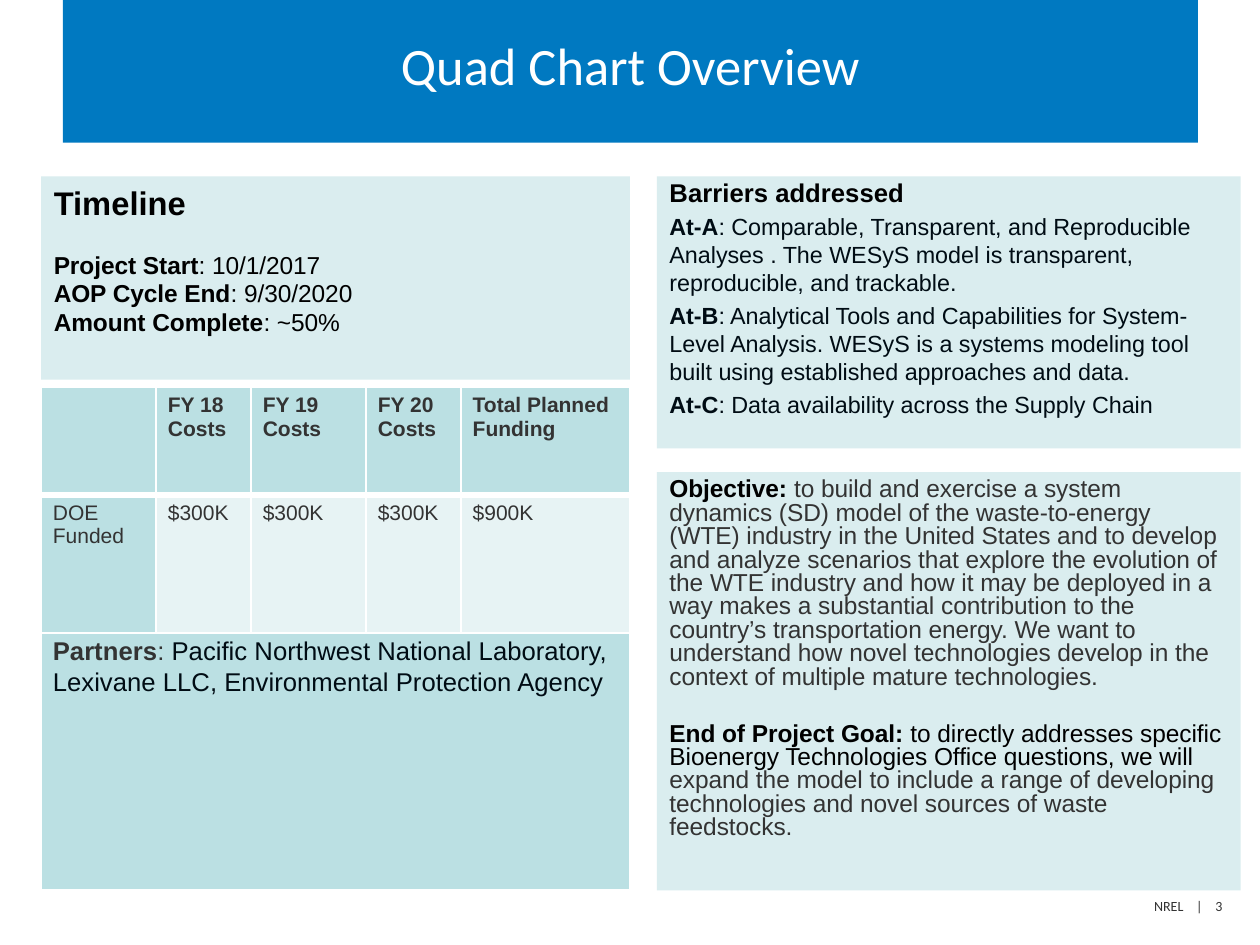
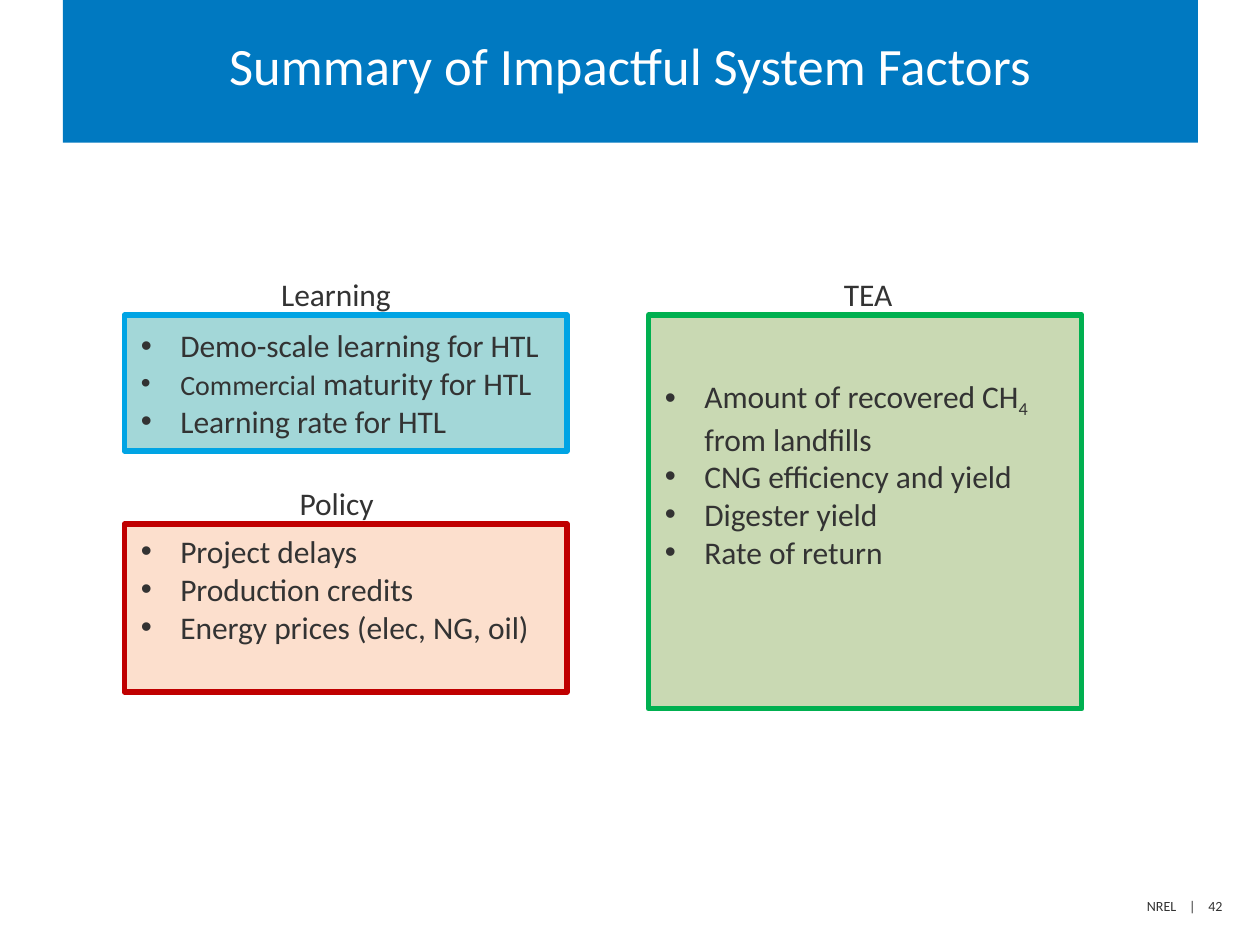
from lxml.etree import SubElement
from pptx import Presentation
from pptx.dml.color import RGBColor
from pptx.enum.shapes import MSO_SHAPE as Shape
from pptx.enum.text import MSO_ANCHOR as Anchor, PP_ALIGN as Align
from pptx.oxml.ns import qn
from pptx.util import Emu, Pt

EMU_PER_PX = 4572
BLUE, PANEL, TEAL, PALE = "0079C1", "DAEDEF", "BBE0E3", "E7F3F4"
BLACK, GREY, NAVY, WHITE = "000000", "333333", "000C14", "FFFFFF"
BODY, HEADING = "Arial", "Calibri"


def px(length):
    return Emu(length * EMU_PER_PX)


def rgb(value):
    return RGBColor.from_string(value)


class SlideKit:
    """Holds the shared style and the slide being built."""

    def __init__(self):
        self.deck = Presentation()
        self.deck.slide_width, self.deck.slide_height = px(1500), px(1125)
        self.page = None

    def new_slide(self, title, number):
        self.page = self.deck.slides.add_slide(self.deck.slide_layouts[6])
        band = self.panel((75, 0, 1351, 170), BLUE)
        band.text_frame.vertical_anchor = Anchor.MIDDLE
        para = self.paragraph(band.text_frame, [(title, {})],
                              size=22.5, color=WHITE, font=HEADING)
        para.alignment = Align.CENTER
        para.line_spacing = Pt(21)
        self.footer(number)

    def footer(self, number):
        box = self.text_box((1101, 1059, 374, 40))
        gap = (" ", {"spacing": 4.1})
        para = self.paragraph(box.text_frame, [("NREL", {}), gap, ("|", {}), gap, (str(number), {})],
                              size=6, color=GREY, font=HEADING)
        para.alignment = Align.RIGHT

    def text_box(self, place, wrap=True):
        box = self.page.shapes.add_textbox(*map(px, place))
        box.text_frame.word_wrap = wrap
        return box

    def label(self, text, place):
        box = self.text_box(place, wrap=False)
        self.paragraph(box.text_frame, [(text, {})], size=13.5, color=GREY, font=HEADING)

    def panel(self, place, fill, line=None, opacity=None):
        box = self.page.shapes.add_shape(Shape.RECTANGLE, *map(px, place))
        box.shadow.inherit = False
        box.fill.solid()
        box.fill.fore_color.rgb = rgb(fill)
        if opacity:
            tint = box.fill._xPr.find(qn("a:solidFill"))[0]
            SubElement(tint, qn("a:alpha")).set("val", str(opacity * 1000))
        if line:
            box.line.color.rgb = rgb(line)
            box.line.width = Pt(2.25)
        else:
            box.line.fill.background()
        box.text_frame.word_wrap = True
        return box

    def quad(self, place):
        frame = self.panel(place, PANEL).text_frame
        frame.margin_left = frame.margin_right = px(15)
        frame.margin_top = frame.margin_bottom = px(8)
        frame.vertical_anchor = Anchor.TOP
        return frame

    def paragraph(self, frame, spans, size, color=BLACK, font=BODY, before=0,
                  spacing=None, bullet=False):
        para = frame.paragraphs[0]
        if para.runs:
            para = frame.add_paragraph()
            para.space_before = Pt(before)
        para.alignment = Align.LEFT
        if spacing:
            para.line_spacing = spacing
        if bullet:
            props = para._p.get_or_add_pPr()
            props.set("marL", str(px(47)))
            props.set("indent", str(px(-47)))
            SubElement(props, qn("a:buFont")).set("typeface", BODY)
            SubElement(props, qn("a:buChar")).set("char", "•")
        for text, style in spans:
            span = para.add_run()
            span.text = text
            span.font.name = font
            span.font.size = Pt(style.get("size", size))
            span.font.bold = style.get("bold", False)
            span.font.color.rgb = rgb(style.get("color", color))
            props = span._r.get_or_add_rPr()
            if "baseline" in style:
                props.set("baseline", str(style["baseline"] * 1000))
            if "spacing" in style:
                props.set("spc", str(round(style["spacing"] * 100)))
        return para

    def bullets(self, place, fill, line, items, bottom=10):
        frame = self.panel(place, fill, line, opacity=36).text_frame
        frame.vertical_anchor = Anchor.MIDDLE
        frame.margin_bottom = px(bottom)
        for spans in items:
            self.paragraph(frame, spans, size=13.5, color=GREY, font=HEADING, bullet=True)

    def table(self, place, widths, heights):
        graphic = self.page.shapes.add_table(len(heights), len(widths), *map(px, place))
        table = graphic.table
        for column, width in zip(table.columns, widths):
            column.width = px(width)
        for row, height in zip(table.rows, heights):
            row.height = px(height)
        return table

    def cell(self, cell, fill, top=1, bottom=1):
        for side, width in zip("LRTB", (1, 1, top, bottom)):
            edge = SubElement(cell._tc.get_or_add_tcPr(), qn(f"a:ln{side}"), w=str(Pt(width)))
            SubElement(SubElement(edge, qn("a:solidFill")), qn("a:srgbClr")).set("val", WHITE)
        cell.fill.solid()
        cell.fill.fore_color.rgb = rgb(fill)
        cell.margin_left = cell.margin_right = px(14)
        cell.margin_top = cell.margin_bottom = px(8)
        return cell.text_frame


def build_funding_table(kit):
    table = kit.table((49, 461, 701, 599), (137, 113, 137, 113, 201), (128, 165, 306))
    rows = [["", "FY 18\nCosts", "FY 19 Costs", "FY 20 Costs", "Total Planned Funding"],
            ["DOE Funded", "$300K", "$300K", "$300K", "$900K"]]
    for r, row in enumerate(rows):
        header = r == 0
        for c, text in enumerate(row):
            fill = TEAL if header or c == 0 else PALE
            frame = kit.cell(table.cell(r, c), fill, 1 if header else 3, 3 if header else 1)
            for line in text.splitlines():
                kit.paragraph(frame, [(line, {"bold": header})], size=9, color=GREY)
    partners = table.cell(2, 0)
    partners.merge(table.cell(2, 4))
    frame = kit.cell(partners, TEAL)
    kit.paragraph(frame, [("Partners", {"bold": True, "color": GREY}), (": ", {"color": GREY}),
                          ("Pacific Northwest National Laboratory,", {})],
                  size=11, color=NAVY, spacing=0.9)
    kit.paragraph(frame, [("Lexivane LLC, Environmental Protection Agency", {})],
                  size=11, color=NAVY, spacing=0.9, before=2.2)


def build_overview(kit):
    kit.new_slide("Quad Chart Overview", 3)
    bold = {"bold": True}

    timeline = kit.quad((49, 210, 701, 242))
    kit.paragraph(timeline, [("Timeline", bold)], size=14)
    facts = [("Project Start", "10/1/2017"), ("AOP Cycle End", "9/30/2020"),
             ("Amount Complete", "~50%")]
    for i, (name, value) in enumerate(facts):
        kit.paragraph(timeline, [(name, bold), (f": {value}", {})], size=10.5,
                      spacing=0.8, before=2.1 if i else 14.2)

    build_funding_table(kit)

    barriers = kit.quad((782, 210, 695, 324))
    kit.paragraph(barriers, [("Barriers addressed", bold)], size=11, spacing=0.8)
    for name, text in [
        ("At-A", "Comparable, Transparent, and Reproducible Analyses . The WESyS model is "
                 "transparent, reproducible, and trackable."),
        ("At-B", "Analytical Tools and Capabilities for System-Level Analysis. WESyS is a "
                 "systems modeling tool built using established approaches and data."),
        ("At-C", "Data availability across the Supply Chain"),
    ]:
        kit.paragraph(barriers, [(name, bold), (f": {text}", {})], size=10, color=NAVY, before=2)

    goals = kit.quad((782, 562, 695, 498))
    kit.paragraph(goals, [
        ("Objective: ", bold),
        ("to build and exercise a system dynamics (SD) model of the waste-to-energy (WTE) "
         "industry in the United States and to develop and analyze scenarios that explore the "
         "evolution of the WTE industry and how it may be deployed in a way makes a substantial "
         "contribution to the country’s transportation energy. We want to understand how novel "
         "technologies develop in the context of multiple mature technologies.", {"color": GREY}),
    ], size=10.5, spacing=0.8)
    kit.paragraph(goals, [
        ("End of Project Goal:", bold),
        (" to directly addresses specific Bioenergy Technologies Office questions, we will ", {}),
        ("expand the model to include a range of developing technologies and novel sources of "
         "waste feedstocks.", {"color": GREY}),
    ], size=10.5, spacing=0.8, before=14.2)


def build_factors(kit):
    kit.new_slide("Summary of Impactful System Factors", 42)
    kit.bullets((148, 624, 527, 200), "F9A876", "C00000", [
        [("Project delays", {})],
        [("Production credits", {})],
        [("Energy prices (elec, NG, oil)", {})],
    ], bottom=56)
    kit.bullets((772, 375, 516, 469), "6A972D", "00B050", [
        [("Amount of recovered CH", {}), ("4", {"baseline": -25}), (" from landfills", {})],
        [("CNG efficiency and yield", {})],
        [("Digester yield", {})],
        [("Rate of return", {})],
    ], bottom=101)
    kit.bullets((148, 375, 527, 162), "009193", "00A4E4", [
        [("Demo-scale learning for HTL", {})],
        [("Commercial", {"size": 12}), (" maturity for HTL", {})],
        [("Learning rate for HTL", {})],
    ])
    kit.label("Learning", (315, 318, 174, 66))
    kit.label("Policy", (337, 566, 130, 66))
    kit.label("TEA", (985, 318, 98, 66))


def main():
    kit = SlideKit()
    build_overview(kit)
    build_factors(kit)
    kit.deck.save("out.pptx")


if __name__ == "__main__":
    main()
